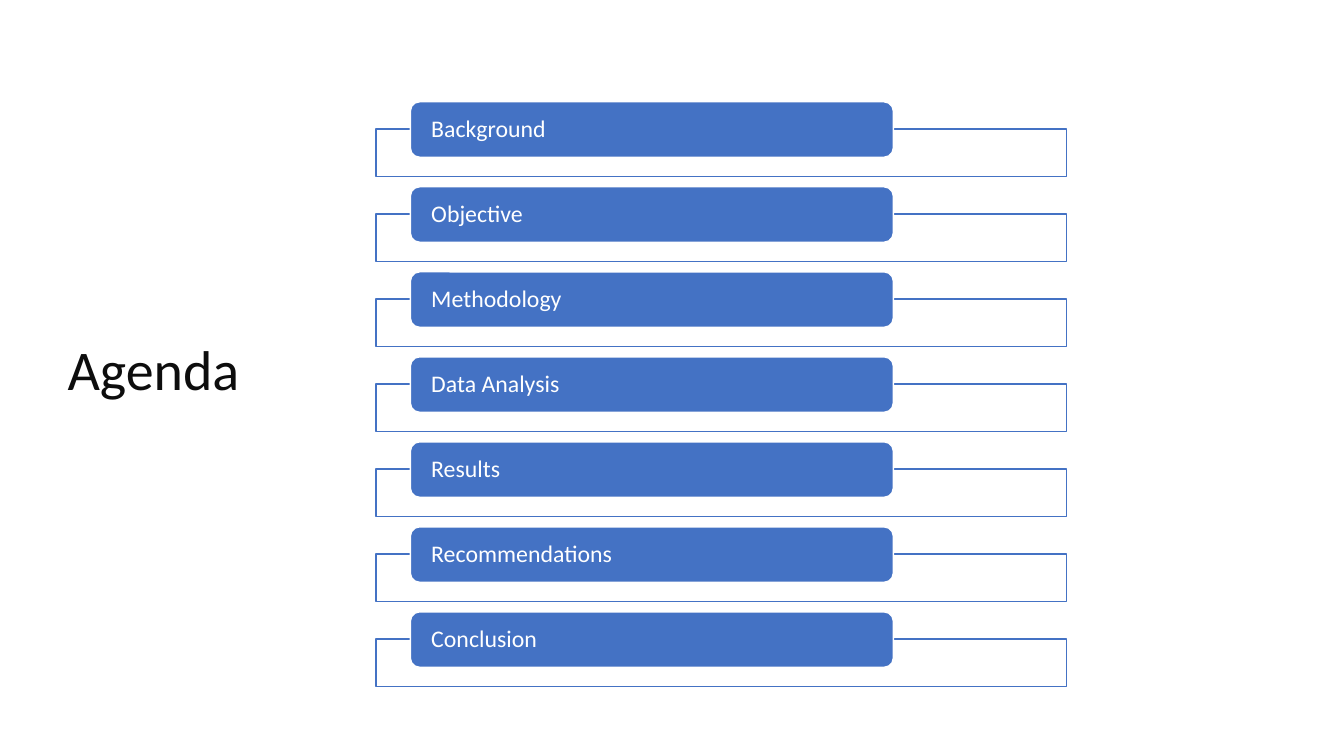
from dataclasses import dataclass

from lxml.etree import SubElement
from pptx import Presentation
from pptx.dml.color import RGBColor
from pptx.enum.shapes import MSO_SHAPE
from pptx.enum.text import MSO_ANCHOR, PP_ALIGN
from pptx.oxml.ns import qn
from pptx.shapes.autoshape import Shape
from pptx.slide import Slide
from pptx.text.text import TextFrame
from pptx.util import Inches, Pt


@dataclass(frozen=True)
class Theme:
    font: str = "Calibri"
    blue: RGBColor = RGBColor(0x44, 0x72, 0xC4)
    white: RGBColor = RGBColor(0xFF, 0xFF, 0xFF)
    ink: RGBColor = RGBColor(0x0D, 0x0D, 0x0D)
    title: int = 40
    item: int = 17


@dataclass(frozen=True)
class Box:
    left: float
    top: float
    width: float
    height: float


@dataclass(frozen=True)
class Item:
    label: str
    top: float


THEME = Theme()
LABELS = ("Background", "Objective", "Methodology", "Data Analysis",
          "Results", "Recommendations", "Conclusion")
FIRST, LAST = 1.01, 6.07
PITCH = (LAST - FIRST) / (len(LABELS) - 1)
ITEMS = [Item(label, FIRST + row * PITCH) for row, label in enumerate(LABELS)]


def write(frame: TextFrame, text: str, size: int, color: RGBColor) -> None:
    frame.text = text
    frame.word_wrap = True
    frame.vertical_anchor = MSO_ANCHOR.MIDDLE
    line = frame.paragraphs[0]
    line.alignment = PP_ALIGN.LEFT
    line.line_spacing = 0.9
    line.font.name = THEME.font
    line.font.size = Pt(size)
    line.font.color.rgb = color


def add_box(slide: Slide, kind: MSO_SHAPE, box: Box,
            fill: RGBColor, edge: RGBColor) -> Shape:
    shape = slide.shapes.add_shape(
        kind, Inches(box.left), Inches(box.top),
        Inches(box.width), Inches(box.height))
    shape.shadow.inherit = False
    shape.fill.solid()
    shape.fill.fore_color.rgb = fill
    shape.line.color.rgb = edge
    shape.line.width = Pt(1)
    return shape


def fade(shape: Shape, share: int) -> None:
    """Set the opacity of a solid fill, in percent."""
    color = shape.fill._xPr.find(qn("a:solidFill"))[0]
    SubElement(color, qn("a:alpha"), val=str(share * 1000))


def add_title(slide: Slide, text: str) -> None:
    title = slide.shapes.title
    title.left, title.top = Inches(0.57), Inches(0.68)
    title.width, title.height = Inches(4.16), Inches(6.02)
    write(title.text_frame, text, THEME.title, THEME.ink)


def add_item(slide: Slide, item: Item) -> None:
    """Draw an outlined panel with its label bar on the upper edge."""
    panel = add_box(slide, MSO_SHAPE.RECTANGLE,
                    Box(3.73, item.top + 0.27, 6.85, 0.47),
                    THEME.white, THEME.blue)
    fade(panel, 90)
    bar = add_box(slide, MSO_SHAPE.ROUNDED_RECTANGLE,
                  Box(4.07, item.top, 4.79, 0.55),
                  THEME.blue, THEME.white)
    frame = bar.text_frame
    frame.margin_left = frame.margin_right = Inches(0.18)
    frame.margin_top = frame.margin_bottom = 0
    write(frame, item.label, THEME.item, THEME.white)


def main() -> None:
    deck = Presentation()
    deck.slide_width, deck.slide_height = Inches(13.33), Inches(7.5)
    slide = deck.slides.add_slide(deck.slide_layouts.get_by_name("Title Only"))
    add_title(slide, "Agenda")
    for item in ITEMS:
        add_item(slide, item)
    deck.save("out.pptx")


if __name__ == "__main__":
    main()
